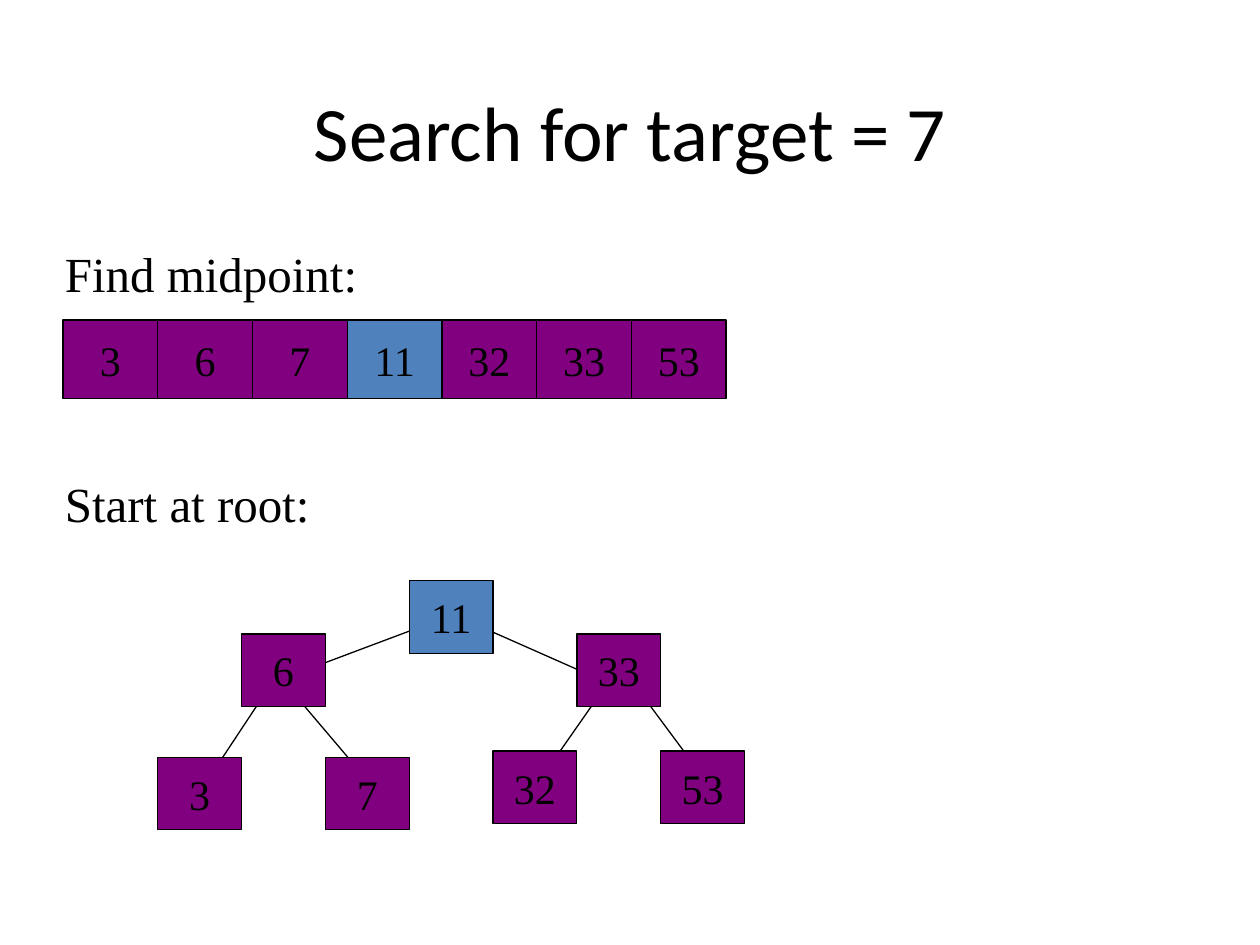
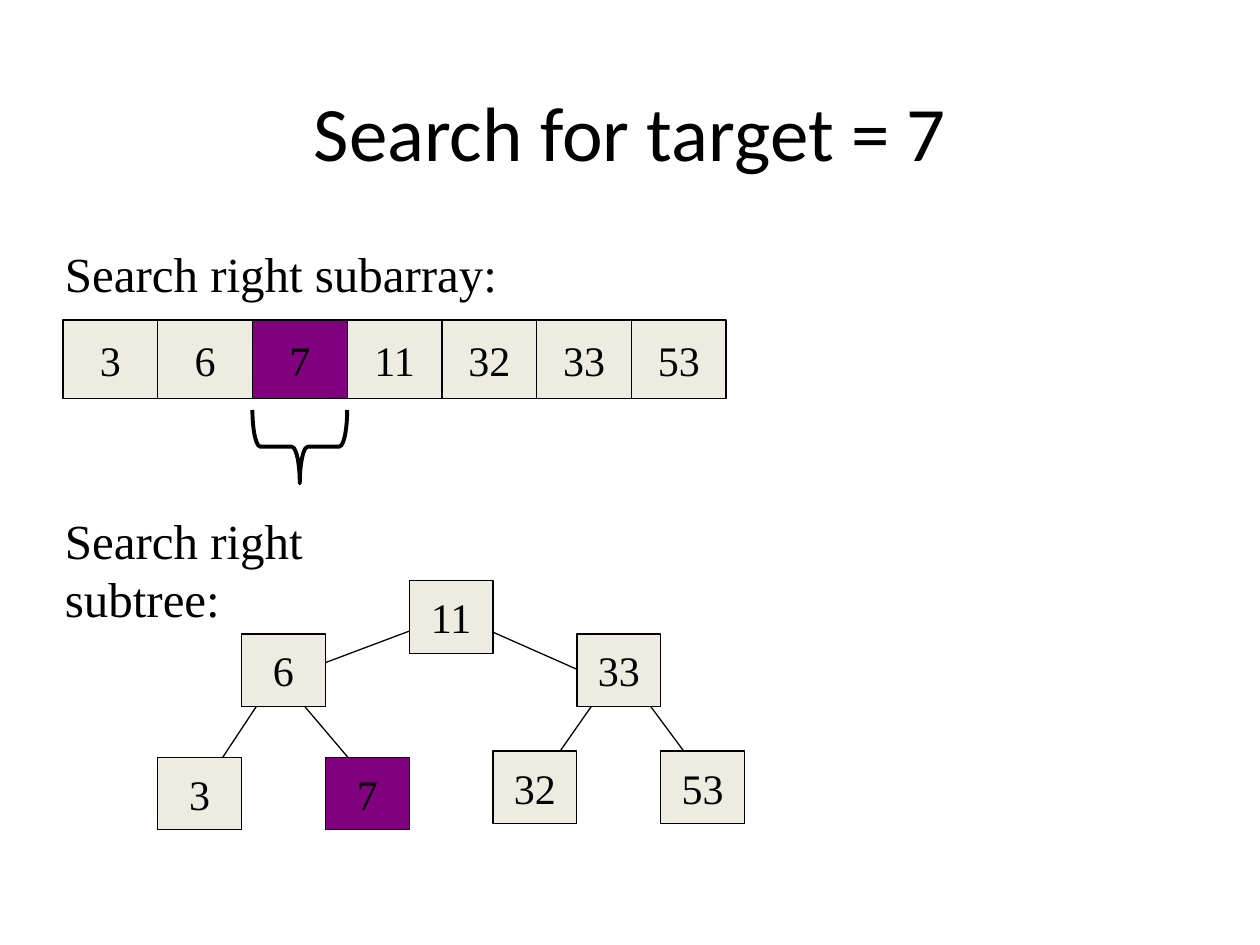
from lxml.etree import SubElement
from pptx import Presentation
from pptx.dml.color import RGBColor
from pptx.enum.shapes import MSO_CONNECTOR, MSO_SHAPE
from pptx.enum.text import MSO_ANCHOR, PP_ALIGN
from pptx.oxml.ns import qn
from pptx.util import Cm, Pt

BLACK = "000000"
PURPLE = "800080"
BLUE = "4F81BD"
CREAM = "EEECE1"

VALUES = (3, 6, 7, 11, 32, 33, 53)
ARRAY_LEFT, ARRAY_TOP = 1.27, 6.45
CELL_WIDTH, CELL_HEIGHT = 1.91, 1.59
TREE_LEFT = 3.18
NODE_WIDTH, NODE_HEIGHT = 1.69, 1.46
NODE_TOPS = (15.27, 12.78, 15.27, 11.71, 15.14, 12.78, 15.14)
EDGES = (
    (8.71, 12.55, 6.02, 13.56),
    (9.5, 12.55, 12.19, 13.74),
    (5.38, 13.92, 4.27, 15.6),
    (5.87, 13.92, 7.44, 15.77),
    (12.5, 13.41, 10.74, 15.93),
    (12.5, 13.41, 14.25, 15.77),
)


def color(value):
    return RGBColor.from_string(value)


class SearchDeck:
    title_font = "Calibri"
    body_font = "Times New Roman"

    def __init__(self):
        self.deck = Presentation()
        self.deck.slide_width, self.deck.slide_height = Cm(25.4), Cm(19.05)
        self.page = None

    def new_page(self):
        self.page = self.deck.slides.add_slide(self.deck.slide_layouts[6])

    def set_text(self, shape, text, font, size, align, anchor, wrap):
        frame = shape.text_frame
        frame.word_wrap = wrap
        frame.vertical_anchor = anchor
        frame.text = text
        para = frame.paragraphs[0]
        para.alignment = align
        for span in para.runs:
            span.font.name = font
            span.font.size = Pt(size)
            span.font.color.rgb = color(BLACK)

    def title(self, text):
        box = self.page.shapes.add_textbox(Cm(1.91), Cm(1.06), Cm(21.59), Cm(3.17))
        self.set_text(box, text, self.title_font, 44,
                      PP_ALIGN.CENTER, MSO_ANCHOR.MIDDLE, True)

    def caption(self, text, top, width, wrap):
        box = self.page.shapes.add_textbox(Cm(1.06), Cm(top), Cm(width), Cm(8.56))
        self.set_text(box, text, self.body_font, 28,
                      PP_ALIGN.LEFT, MSO_ANCHOR.TOP, wrap)

    def number(self, value, left, top, width, height, fill):
        box = self.page.shapes.add_shape(
            MSO_SHAPE.RECTANGLE, Cm(left), Cm(top), Cm(width), Cm(height))
        box.shadow.inherit = False
        box.fill.solid()
        box.fill.fore_color.rgb = color(fill)
        box.line.color.rgb = color(BLACK)
        box.line.width = Pt(0.75)
        self.set_text(box, str(value), self.body_font, 24,
                      PP_ALIGN.CENTER, MSO_ANCHOR.MIDDLE, False)

    def edge(self, *ends):
        line = self.page.shapes.add_connector(
            MSO_CONNECTOR.STRAIGHT, *(Cm(end) for end in ends))
        line.line.color.rgb = color(BLACK)
        line.line.width = Pt(0.75)
        SubElement(line._element.spPr, qn("a:effectLst"))

    def array(self, fills):
        for index, (value, fill) in enumerate(zip(VALUES, fills)):
            self.number(value, ARRAY_LEFT + index * CELL_WIDTH, ARRAY_TOP,
                        CELL_WIDTH, CELL_HEIGHT, fill)

    def tree(self, fills):
        for ends in EDGES:
            self.edge(*ends)
        for index, (value, top, fill) in enumerate(zip(VALUES, NODE_TOPS, fills)):
            self.number(value, TREE_LEFT + index * NODE_WIDTH, top,
                        NODE_WIDTH, NODE_HEIGHT, fill)

    def brace_below(self, index):
        depth = 1.48
        center = ARRAY_LEFT + (index + 0.5) * CELL_WIDTH
        brace = self.page.shapes.add_shape(
            MSO_SHAPE.LEFT_BRACE, Cm(center - depth / 2), Cm(8.05),
            Cm(depth), Cm(CELL_WIDTH))
        brace.rotation = 270
        brace.adjustments[0] = 0.11
        brace.shadow.inherit = False
        brace.fill.background()
        brace.line.color.rgb = color(BLACK)
        brace.line.width = Pt(2.25)

    def search_step(self, array_caption, tree_caption, tree_caption_top,
                    tree_caption_width, base, marked, highlight):
        fills = [highlight if value == marked else base for value in VALUES]
        self.new_page()
        self.title("Search for target = 7")
        self.caption(array_caption, 4.78, 17.58, True)
        self.caption(tree_caption, tree_caption_top, tree_caption_width, False)
        self.array(fills)
        self.tree(fills)


def main():
    search = SearchDeck()
    search.search_step("Find midpoint:", "Start at root:", 9.42, 5.44, PURPLE, 11, BLUE)
    search.search_step("Search right subarray:", "Search right subtree:", 10.16, 8.66,
                       CREAM, 7, PURPLE)
    search.brace_below(VALUES.index(7))
    search.deck.save("out.pptx")


if __name__ == "__main__":
    main()
